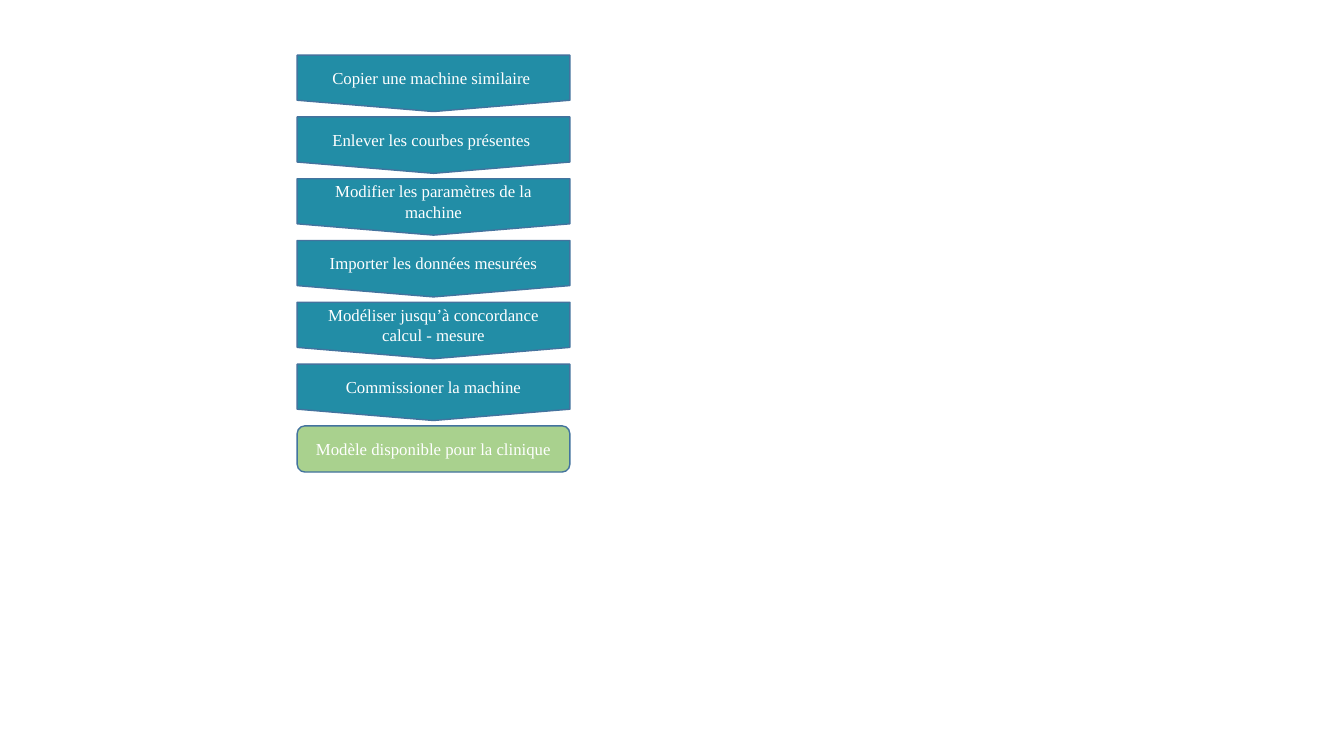
from pptx import Presentation
from pptx.dml.color import RGBColor
from pptx.enum.shapes import MSO_SHAPE
from pptx.enum.text import MSO_ANCHOR, PP_ALIGN
from pptx.util import Pt

FONT_NAME = "Times New Roman"
STEP_FILL = "228DA6"
RESULT_FILL = "A9D18E"
OUTLINE = "43739E"
WHITE = "FFFFFF"

STEPS = [
    "Copier une machine similaire ",
    "Enlever les courbes présentes ",
    "Modifier les paramètres de la machine",
    "Importer les données mesurées",
    "Modéliser jusqu’à concordance calcul - mesure",
    "Commissioner la machine",
]
RESULT = "Modèle disponible pour la clinique"


def color(hex_string):
    return RGBColor.from_string(hex_string)


def add_box(group, kind, left, top, width, height, fill, text):
    shape = group.shapes.add_shape(kind, Pt(left), Pt(top), Pt(width), Pt(height))
    shape.shadow.inherit = False
    shape.fill.solid()
    shape.fill.fore_color.rgb = color(fill)
    shape.line.color.rgb = color(OUTLINE)
    shape.line.width = Pt(1)

    text_frame = shape.text_frame
    text_frame.word_wrap = True
    text_frame.vertical_anchor = MSO_ANCHOR.MIDDLE
    paragraph = text_frame.paragraphs[0]
    paragraph.alignment = PP_ALIGN.CENTER
    run = paragraph.add_run()
    run.text = text
    run.font.name = FONT_NAME
    run.font.size = Pt(12)
    run.font.color.rgb = color(WHITE)


def add_workflow(slide, left, top, width, height):
    """Stack the steps at an equal pitch, with the result at the bottom."""
    step_height = 40.3
    result_height = 33
    pitch = (height - result_height) / len(STEPS)
    group = slide.shapes.add_group_shape()
    for index, step in enumerate(STEPS):
        add_box(group, MSO_SHAPE.FLOWCHART_OFFPAGE_CONNECTOR, left,
                top + index * pitch, width, step_height, STEP_FILL, step)
    add_box(group, MSO_SHAPE.ROUNDED_RECTANGLE, left,
            top + height - result_height, width, result_height,
            RESULT_FILL, RESULT)


def main():
    presentation = Presentation()
    presentation.slide_width = Pt(960)
    presentation.slide_height = Pt(540)
    slide = presentation.slides.add_slide(presentation.slide_layouts[6])
    add_workflow(slide, left=212.3, top=39.4, width=194.8, height=297.8)
    presentation.save("out.pptx")


if __name__ == "__main__":
    main()
